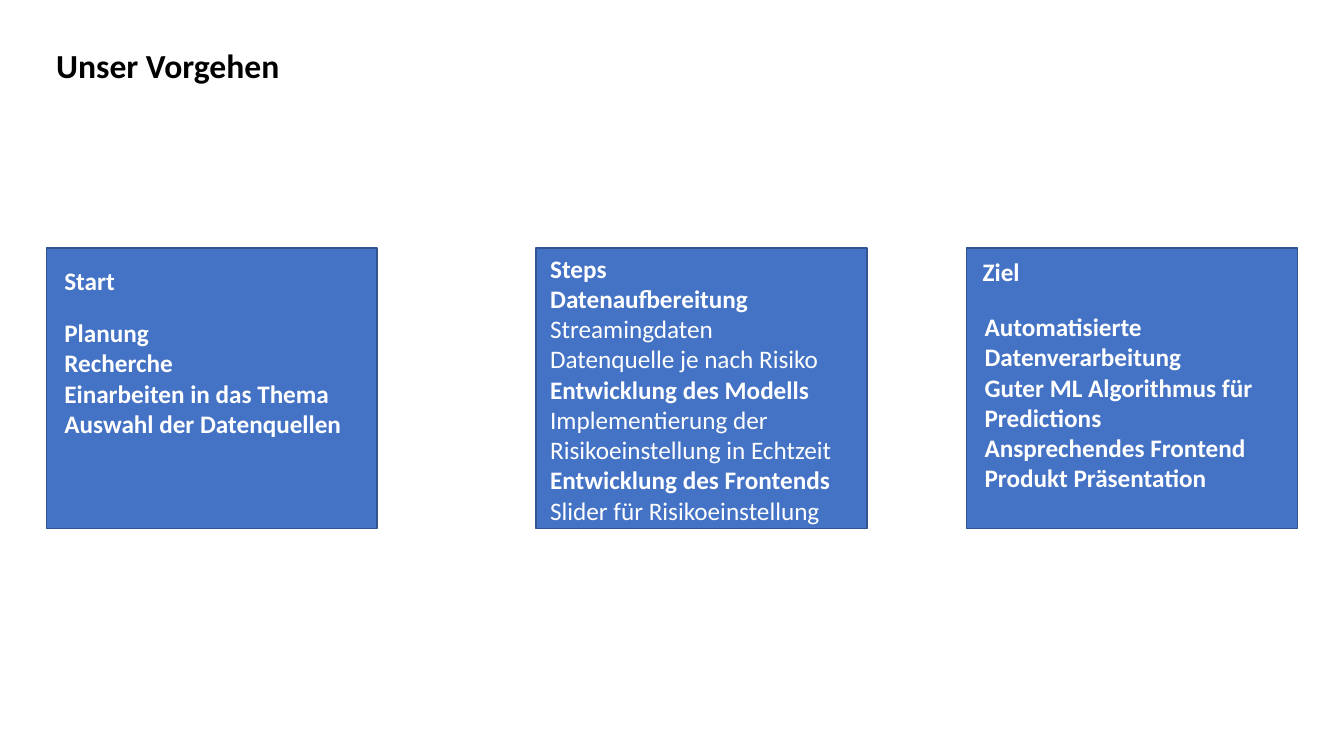
from pptx import Presentation
from pptx.dml.color import RGBColor
from pptx.enum import shapes, text
from pptx.util import Pt

FONT = "Calibri"
BLUE, EDGE, WHITE, BLACK = "4472C4", "325491", "FFFFFF", "000000"
BOX_TOP, BOX_W, BOX_H, TEXT_W = 177.1, 236.2, 200.2, 216

# Per phase: box left, heading (left, top, text), body (left, top, height, lines).
# Each body line is (text, bold).
PHASES = [
    (33.1, (38.9, 185.8, "Start"),
     (38.9, 223.2, 94.3, [
         ("Planung", True),
         ("Recherche", True),
         ("Einarbeiten in das Thema\u00a0", True),
         ("Auswahl der Datenquellen", True)])),
    (383, (385.9, 177.1, "Steps"),
     (385.9, 198.7, 181.4, [
         ("Datenaufbereitung", True),
         ("Streamingdaten", False),
         ("Datenquelle je nach Risiko", False),
         ("Entwicklung des Modells", True),
         ("Implementierung der Risikoeinstellung in Echtzeit", False),
         ("Entwicklung des Frontends", True),
         ("Slider für Risikoeinstellung", False)])),
    (690.5, (694.8, 179.3, "Ziel"),
     (696.2, 218.9, 138.2, [
         ("Automatisierte Datenverarbeitung", True),
         ("Guter ML Algorithmus für Predictions", True),
         ("Ansprechendes Frontend", True),
         ("Produkt Präsentation", True)])),
]


def color(hex_code):
    return RGBColor.from_string(hex_code)


def add_box(s, left):
    sp = s.shapes.add_shape(shapes.MSO_SHAPE.RECTANGLE, Pt(left), Pt(BOX_TOP),
                            Pt(BOX_W), Pt(BOX_H))
    sp.shadow.inherit = False
    sp.fill.solid()
    sp.fill.fore_color.rgb = color(BLUE)
    sp.line.color.rgb = color(EDGE)
    sp.line.width = Pt(1)


def add_text(s, left, top, width, height, lines, size=18, ink=WHITE):
    tf = s.shapes.add_textbox(Pt(left), Pt(top), Pt(width), Pt(height)).text_frame
    tf.word_wrap = True
    tf.auto_size = text.MSO_AUTO_SIZE.SHAPE_TO_FIT_TEXT
    tf.text = "\n".join(line for line, _ in lines)
    for p, (_, bold) in zip(tf.paragraphs, lines):
        for r in p.runs:
            r.font.name = FONT
            r.font.size = Pt(size)
            r.font.bold = bold
            r.font.color.rgb = color(ink)


def main():
    prs = Presentation()
    prs.slide_width, prs.slide_height = Pt(960), Pt(540)
    s = prs.slides.add_slide(prs.slide_layouts[6])

    # Title
    add_text(s, 33.1, 28.8, 206.6, 36, [("Unser Vorgehen", True)], 24, BLACK)

    # Phases: box, heading and body
    for box_left, (x, y, heading), (left, top, height, lines) in PHASES:
        add_box(s, box_left)
        add_text(s, x, y, TEXT_W, 28.8, [(heading, True)])
        add_text(s, left, top, TEXT_W, height, lines)

    prs.save("out.pptx")


main()
